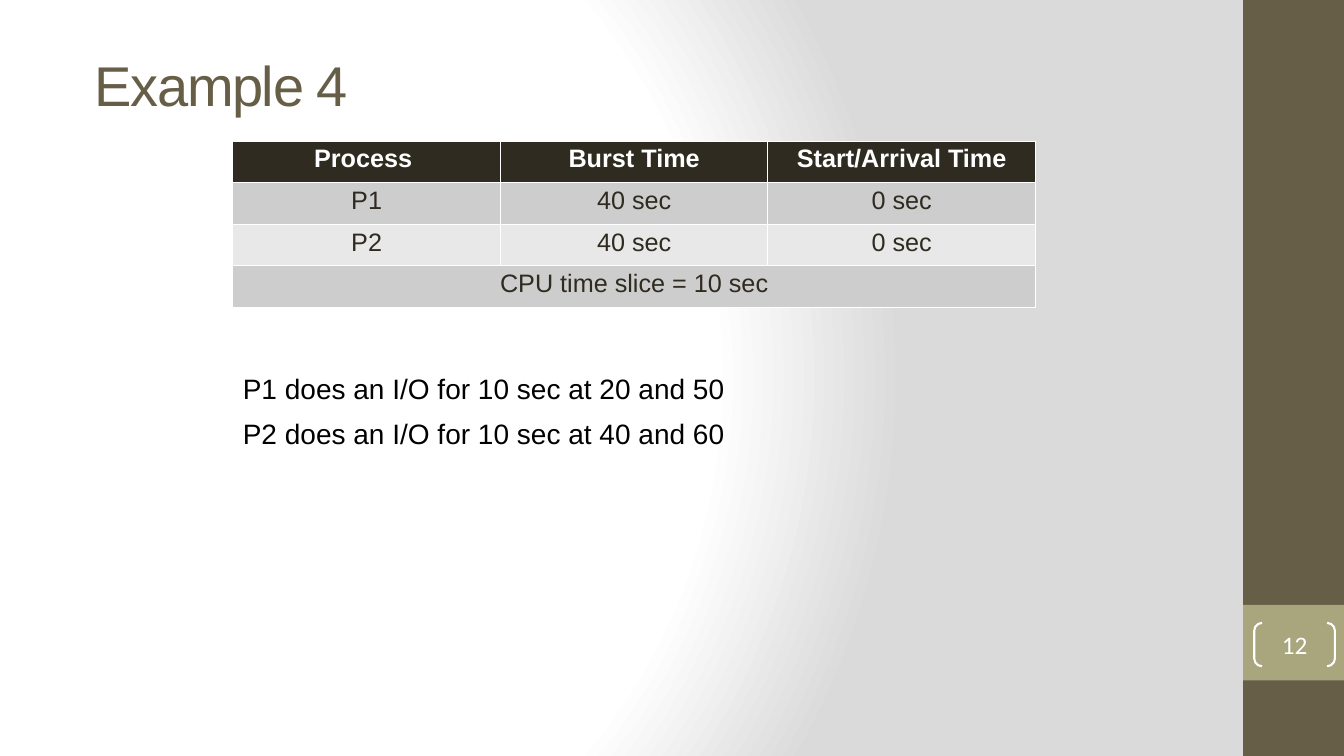
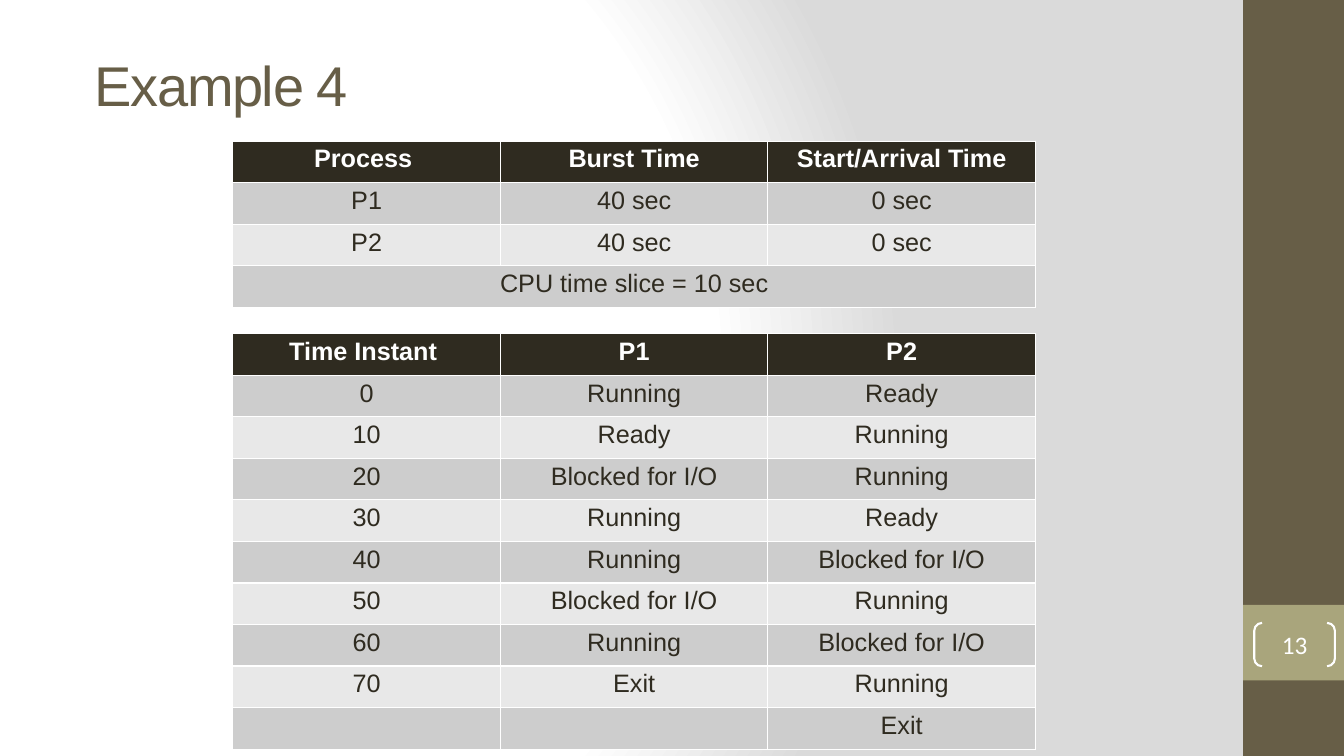
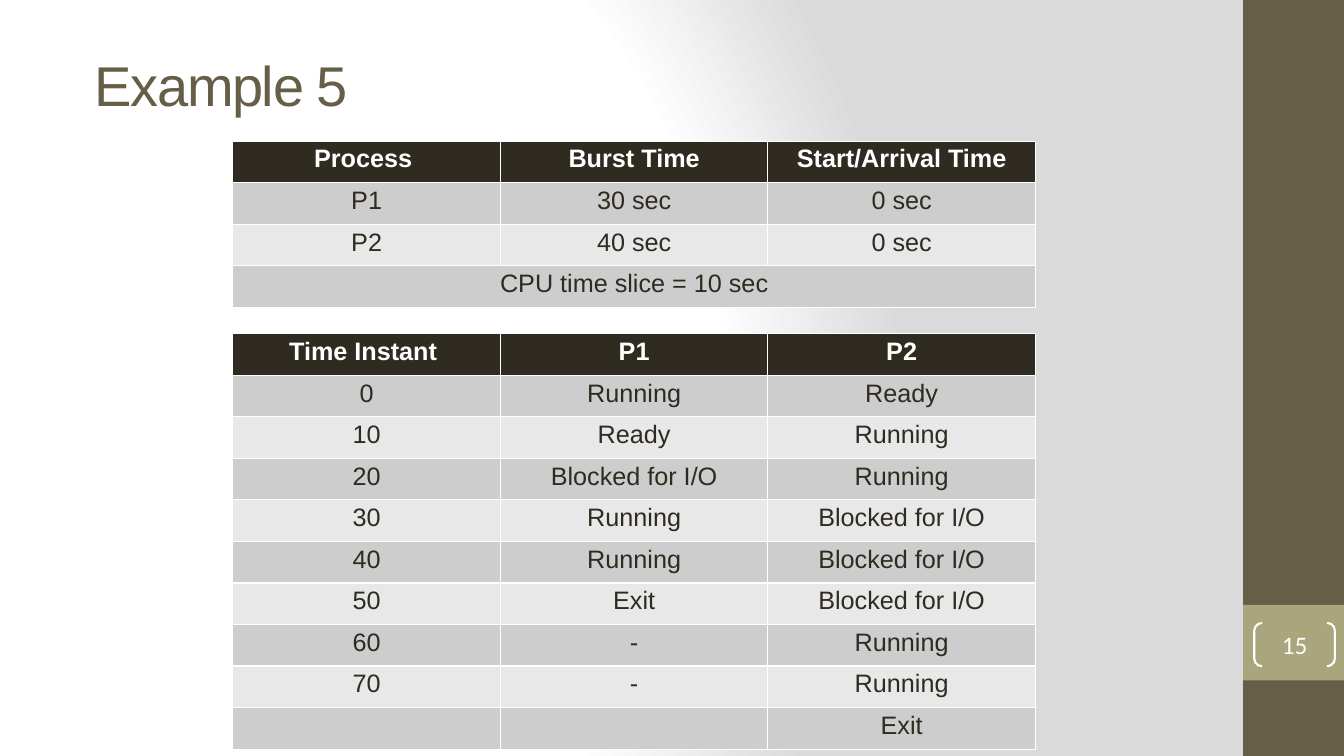
"""Build three slides of process scheduling examples with their state tables."""
from pptx import Presentation
from pptx.dml.color import RGBColor
from pptx.enum.shapes import MSO_SHAPE as Preset
from pptx.enum.text import MSO_ANCHOR as Anchor, MSO_AUTO_SIZE as AutoSize, PP_ALIGN as Align
from pptx.oxml import parse_xml
from pptx.oxml.ns import nsdecls
from pptx.util import Inches, Pt

WHITE = RGBColor(0xFF, 0xFF, 0xFF)
BLACK = RGBColor(0x00, 0x00, 0x00)
BROWN = RGBColor(0x67, 0x5E, 0x47)
OLIVE = RGBColor(0xA9, 0xA5, 0x7C)
DARK = RGBColor(0x2F, 0x2B, 0x20)
BAND_GREYS = [RGBColor(0xE8, 0xE8, 0xE8), RGBColor(0xCD, 0xCD, 0xCD)]
BACKDROP_EDGE = RGBColor(0xDA, 0xDA, 0xDA)

WIDTH, HEIGHT = Inches(13.33), Inches(7.5)
SIDEBAR = Inches(1)
TABLE_LEFT = Inches(2.31)
COLUMN = Inches(7.96 / 3)
ROW = int(HEIGHT * 0.055)
PROCESS_TOP, STATE_TOP = Inches(1.4), Inches(3.31)

PROCESS_HEADER = ["Process ", "Burst Time", "Start/Arrival Time"]
STATE_HEADER = ["Time Instant ", "P1", "P2"]
TIME_SLICE = ["CPU time slice = 10 sec"]
RUN, READY, BLOCKED, EXIT = "Running", "Ready", "Blocked for I/O", "Exit"

EXAMPLES = [
    {
        "title": "Example 4", "number": "12", "bursts": ["40 sec", "40 sec"],
        "notes": ["P1 does an I/O for 10 sec at 20 and 50",
                  "P2 does an I/O for 10 sec at 40 and 60"],
        "states": [],
    },
    {
        "title": "Example 4", "number": "13", "bursts": ["40 sec", "40 sec"],
        "notes": [],
        "states": [
            ["0", RUN, READY], ["10", READY, RUN], ["20", BLOCKED, RUN],
            ["30", RUN, READY], ["40", RUN, BLOCKED], ["50", BLOCKED, RUN],
            ["60", RUN, BLOCKED], ["70", EXIT, RUN], ["", "", EXIT],
        ],
    },
    {
        "title": "Example 5", "number": "15", "bursts": ["30 sec", "40 sec"],
        "notes": [],
        "states": [
            ["0", RUN, READY], ["10", READY, RUN], ["20", BLOCKED, RUN],
            ["30", RUN, BLOCKED], ["40", RUN, BLOCKED], ["50", EXIT, BLOCKED],
            ["60", "-", RUN], ["70", "-", RUN], ["", "", EXIT],
        ],
    },
]


def add_run(paragraph, text, size, color, font="Arial", bold=False):
    """Append one formatted run to a paragraph."""
    run = paragraph.add_run()
    run.text = text
    run.font.name, run.font.size, run.font.bold = font, Pt(size), bold
    run.font.color.rgb = color
    return run


def add_grid(slide, top, rows):
    """Add a table with a dark header; a row with one entry spans all columns."""
    columns = len(rows[0])
    table = slide.shapes.add_table(
        len(rows), columns, TABLE_LEFT, top, COLUMN * columns, ROW * len(rows)).table
    for column in table.columns:
        column.width = COLUMN
    for index, row in enumerate(rows):
        table.rows[index].height = ROW
        for cell in table.rows[index].cells:
            cell.fill.solid()
            cell.fill.fore_color.rgb = BAND_GREYS[index % 2] if index else DARK
            cell.margin_left = cell.margin_right = Inches(0.07)
            cell.margin_top = cell.margin_bottom = Inches(0.04)
        if len(row) == 1:
            table.cell(index, 0).merge(table.cell(index, columns - 1))
        for position, text in enumerate(row):
            paragraph = table.cell(index, position).text_frame.paragraphs[0]
            paragraph.alignment = Align.CENTER
            if text:
                add_run(paragraph, text, 18, DARK if index else WHITE, bold=index == 0)


presentation = Presentation()
presentation.slide_width, presentation.slide_height = WIDTH, HEIGHT
master = presentation.slide_master
title_only = presentation.slide_layouts.get_by_name("Title Only")
slides = [presentation.slides.add_slide(title_only) for _ in EXAMPLES]

master.background.fill.solid()
background = master.element.xpath(".//p:bgPr")[0]
stops = "".join(
    f'<a:gs pos="{share * 1000}"><a:srgbClr val="{color}"/></a:gs>'
    for share, color in [(0, WHITE), (75, WHITE), (100, BACKDROP_EDGE)])
background.replace(background[0], parse_xml(
    f'<a:gradFill {nsdecls("a")} rotWithShape="1"><a:gsLst>{stops}</a:gsLst>'
    '<a:path path="circle"><a:fillToRect l="20000" t="50000" r="100000" b="50000"/>'
    '</a:path></a:gradFill>'))

bands = [(0, HEIGHT, BROWN), (int(HEIGHT * 0.8), int(HEIGHT * 0.1), OLIVE)]
for order, (top, height, color) in enumerate(bands):
    band = slides[0].shapes.add_shape(
        Preset.RECTANGLE, WIDTH - SIDEBAR, top, SIDEBAR, height)
    band.shadow.inherit = False
    band.fill.solid()
    band.fill.fore_color.rgb = color
    band.line.fill.background()
    band.element.nvSpPr.cNvPr.set("id", str(20 + order))
    master.element.cSld.spTree.insert(2 + order, band.element)

for slide, example in zip(slides, EXAMPLES):
    title = slide.shapes.title
    title.left, title.top = Inches(0.84), Inches(0.61)
    title.width, title.height = Inches(10.91), Inches(0.45)
    frame = title.text_frame
    frame.auto_size = AutoSize.NONE
    frame.vertical_anchor = Anchor.MIDDLE
    frame.paragraphs[0].alignment = Align.LEFT
    run = add_run(frame.paragraphs[0], example["title"], 40, BROWN)
    run.font._element.set("spc", "-100")

    bracket = slide.shapes.add_shape(
        Preset.DOUBLE_BRACKET, Inches(12.44), Inches(6.18), Inches(0.8), Inches(0.43))
    bracket.adjustments[0] = 0.18
    bracket.shadow.inherit = False
    bracket.fill.background()
    bracket.line.color.rgb = WHITE
    bracket.line.width = Pt(1.5)
    frame = bracket.text_frame
    frame.margin_left = frame.margin_right = frame.margin_top = frame.margin_bottom = 0
    frame.vertical_anchor = Anchor.MIDDLE
    frame.paragraphs[0].alignment = Align.CENTER
    add_run(frame.paragraphs[0], example["number"], 18, WHITE, font="Calibri")

    processes = [[f"P{number}", burst, "0 sec"]
                 for number, burst in enumerate(example["bursts"], 1)]
    add_grid(slide, PROCESS_TOP, [PROCESS_HEADER, *processes, TIME_SLICE])
    if example["states"]:
        add_grid(slide, STATE_TOP, [STATE_HEADER, *example["states"]])

    if example["notes"]:
        box = slide.shapes.add_textbox(TABLE_LEFT, Inches(3.64), Inches(6.66), Inches(0.89))
        frame = box.text_frame
        frame.word_wrap = True
        for index, note in enumerate(example["notes"]):
            paragraph = frame.add_paragraph() if index else frame.paragraphs[0]
            if index:
                paragraph.space_before = Pt(7.7)
            add_run(paragraph, note, 20, BLACK)

presentation.save("out.pptx")
